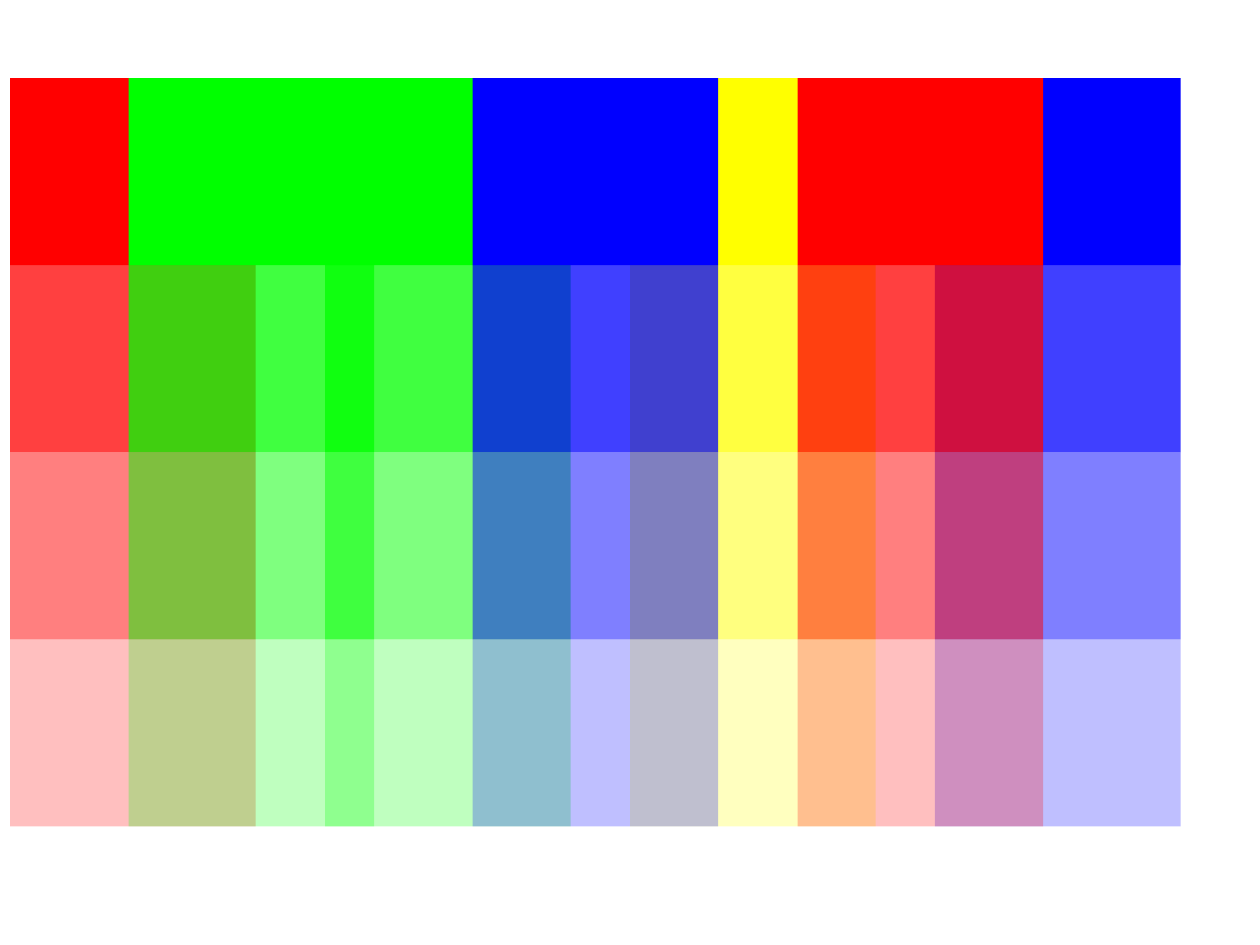
from typing import NamedTuple

from lxml import etree
from pptx import Presentation
from pptx.dml.color import RGBColor
from pptx.enum import shapes
from pptx.oxml import ns
from pptx.util import Inches

RED, GREEN, BLUE, YELLOW = "FF0000", "00FF00", "0000FF", "FFFF00"
OPACITIES = (100, 75, 50, 25)  # percent, from the top row down
GRID_TOP, GRID_HEIGHT = 0.62, 5.94
ROW_HEIGHT = GRID_HEIGHT / len(OPACITIES)
COLUMN_WIDTH = 1.95


class Column(NamedTuple):
    left: float
    color: str


# Back to front: four base columns, then three that overlap them.
COLUMNS = (
    Column(0.08, RED),
    Column(2.58, GREEN),
    Column(7.42, BLUE),
    Column(5, YELLOW),
    Column(1.02, GREEN),
    Column(3.75, BLUE),
    Column(6.33, RED),
)


def set_fill(shape, color: str, opacity: int) -> None:
    """Fill the shape with a hex colour at an opacity in percent."""
    shape.fill.solid()
    shape.fill.fore_color.rgb = RGBColor.from_string(color)
    if opacity < 100:
        color_element = shape._element.spPr.find(".//" + ns.qn("a:srgbClr"))
        alpha = etree.SubElement(color_element, ns.qn("a:alpha"))
        alpha.set("val", str(opacity * 1000))


def draw_column(slide, column: Column) -> None:
    for row, opacity in enumerate(OPACITIES):
        shape = slide.shapes.add_shape(
            shapes.MSO_SHAPE.RECTANGLE,
            Inches(column.left),
            Inches(GRID_TOP + row * ROW_HEIGHT),
            Inches(COLUMN_WIDTH),
            Inches(ROW_HEIGHT),
        )
        shape.shadow.inherit = False
        shape.line.fill.background()
        set_fill(shape, column.color, opacity)


def main() -> None:
    presentation = Presentation()
    presentation.slide_width = Inches(10)
    presentation.slide_height = Inches(7.5)
    slide = presentation.slides.add_slide(presentation.slide_layouts[6])
    for column in COLUMNS:
        draw_column(slide, column)
    presentation.save("out.pptx")


if __name__ == "__main__":
    main()
